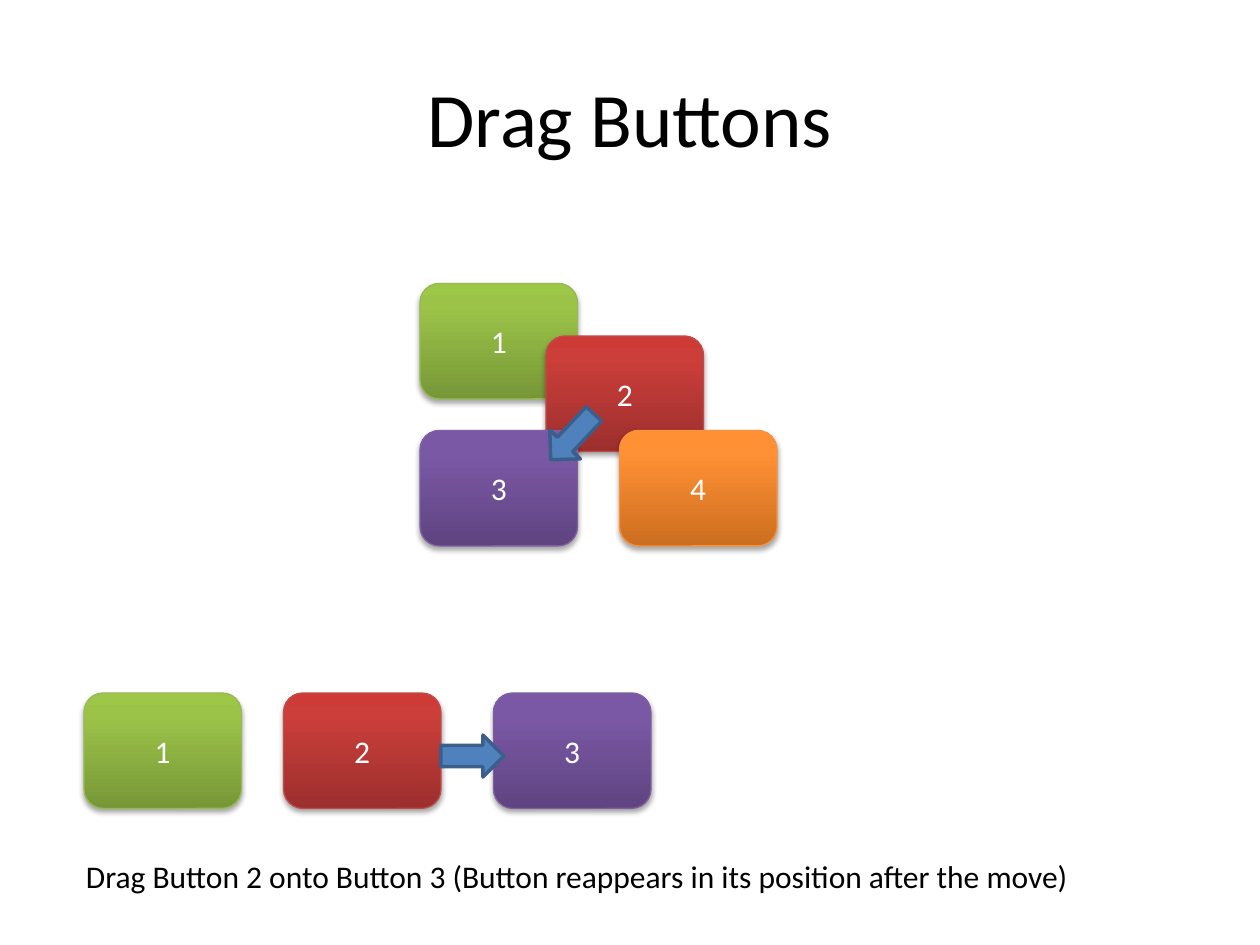
from lxml import etree
from pptx import Presentation
from pptx.dml.color import RGBColor
from pptx.enum.shapes import MSO_SHAPE
from pptx.enum.text import MSO_ANCHOR, PP_ALIGN
from pptx.oxml import parse_xml
from pptx.oxml.ns import nsdecls, qn
from pptx.util import Inches, Pt

ROUNDED = MSO_SHAPE.ROUNDED_RECTANGLE
ARROW = MSO_SHAPE.RIGHT_ARROW
CENTER = PP_ALIGN.CENTER
MIDDLE = MSO_ANCHOR.MIDDLE
CELL = Inches(1) / 12  # grid of twelfths of an inch
BUTTON_SIZE = (15, 11)
ARROW_SIZE = (6, 4)
STOPS = (0, 80, 100)

# button label: gradient from bottom to top, line
STYLES = {
    "1": (("779737", "9BC348", "9DC746"), "98B955"),
    "2": (("9C2F2D", "CB3E3A", "CE3B37"), "BF4C48"),
    "3": (("5F4480", "7B58A6", "7C57A8"), "7D60A0"),
    "4": (("CC6E20", "FF9034", "FF9136"), "F69240"),
}
# label, column, row
BUTTONS = [
    ("1", 40, 27), ("2", 52, 32), ("3", 40, 41), ("4", 59, 41),
    ("1", 8, 66), ("2", 27, 66), ("3", 47, 66),
]
# column, row, rotation
ARROWS = [(42, 70, 0), (51.5, 39.6, 133.3)]


def cells(*counts):
    return [round(count * CELL) for count in counts]


def write(shape, text, size, color, alignment):
    shape.text_frame.text = text
    shape.text_frame.word_wrap = True
    paragraph = shape.text_frame.paragraphs[0]
    paragraph.alignment = alignment
    paragraph.font.name = "Calibri"
    paragraph.font.size = Pt(size)
    paragraph.font.color.rgb = RGBColor.from_string(color)


presentation = Presentation()
presentation.slide_width, presentation.slide_height = cells(120, 90)
slide = presentation.slides.add_slide(presentation.slide_layouts[5])

title = slide.shapes.title
title.left, title.top, title.width, title.height = cells(6, 3.6, 108, 15)
title.text_frame.vertical_anchor = MIDDLE
write(title, "Drag Buttons", 44, "000000", CENTER)

for label, column, row in BUTTONS:
    gradient, line_color = STYLES[label]
    button = slide.shapes.add_shape(ROUNDED, *cells(column, row, *BUTTON_SIZE))
    button.line.color.rgb = RGBColor.from_string(line_color)
    button.line.width = Pt(0.75)
    button.text_frame.vertical_anchor = MIDDLE
    write(button, label, 18, "FFFFFF", CENTER)

    button.fill.gradient()
    button.fill.gradient_angle = 90
    stop_list = button.element.spPr.find(".//" + qn("a:gsLst"))
    stop_list.clear()
    for position, color in zip(STOPS, gradient):
        stop = etree.SubElement(stop_list, qn("a:gs"), pos=str(position * 1000))
        etree.SubElement(stop, qn("a:srgbClr"), val=color)

    button.shadow.inherit = False
    button.element.spPr.find(qn("a:effectLst")).append(parse_xml(
        f'<a:outerShdw {nsdecls("a")} blurRad="{Pt(3.1)}" dist="{Pt(1.8)}" '
        'dir="5400000" rotWithShape="0"><a:srgbClr val="000000">'
        '<a:alpha val="35000"/></a:srgbClr></a:outerShdw>'))

caption = slide.shapes.add_textbox(*cells(7, 81, 111, 4.8))
write(caption, "Drag Button 2 onto Button 3 (Button reappears in its position after the move)",
      18, "000000", PP_ALIGN.LEFT)

for column, row, rotation in ARROWS:
    arrow = slide.shapes.add_shape(ARROW, *cells(column, row, *ARROW_SIZE))
    arrow.rotation = rotation
    arrow.shadow.inherit = False
    arrow.fill.solid()
    arrow.fill.fore_color.rgb = RGBColor.from_string("4F81BD")
    arrow.line.color.rgb = RGBColor.from_string("3A5F8C")
    arrow.line.width = Pt(2)

presentation.save("out.pptx")
